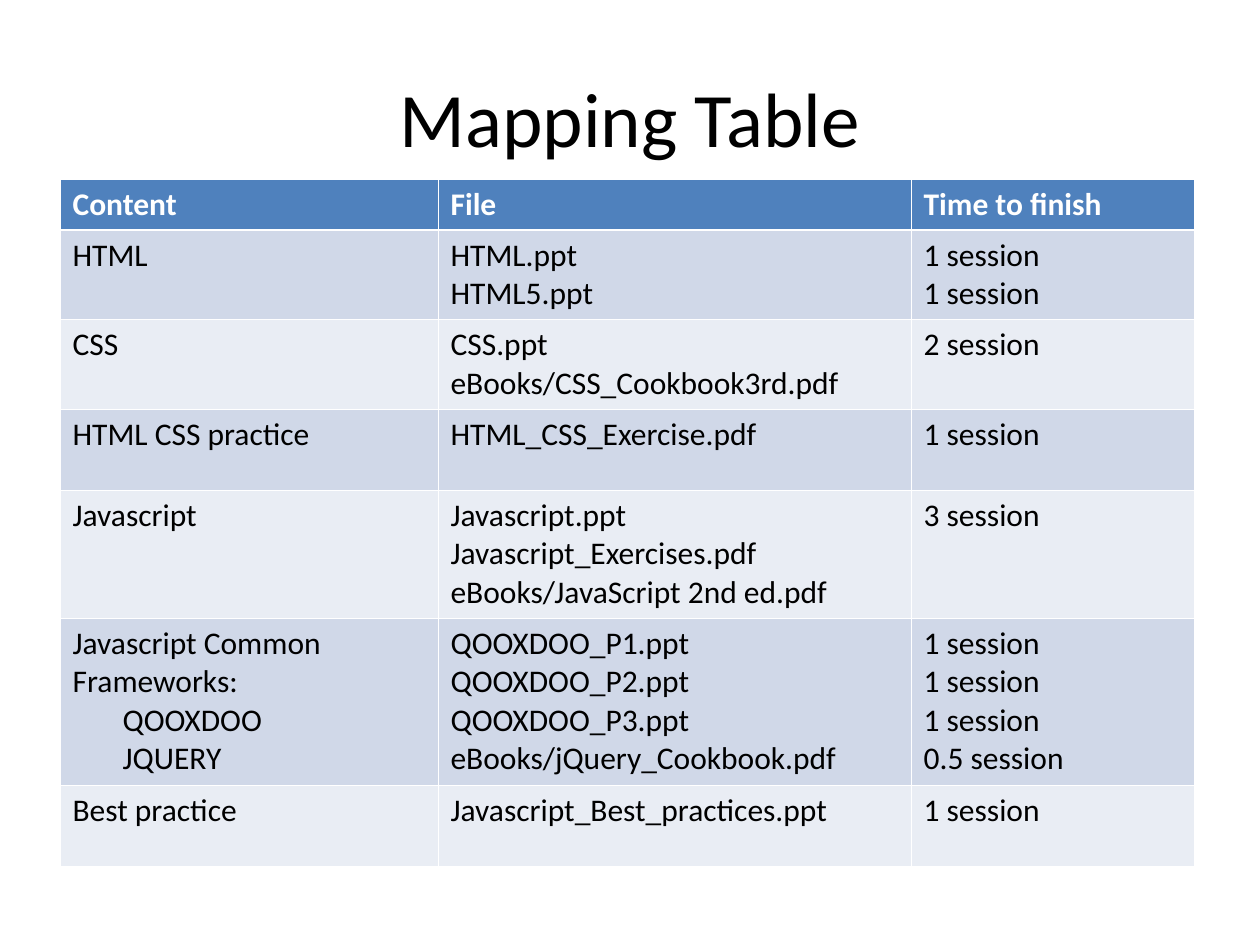
from lxml import etree
from pptx import Presentation
from pptx.dml.color import RGBColor
from pptx.enum.text import MSO_ANCHOR, PP_ALIGN
from pptx.oxml.ns import qn
from pptx.util import Pt

CENTER, MIDDLE = PP_ALIGN.CENTER, MSO_ANCHOR.MIDDLE
PX = 914400 / 126  # EMU in one px
FONT = "Calibri"
BLACK = RGBColor(0x00, 0x00, 0x00)
WHITE = RGBColor(0xFF, 0xFF, 0xFF)
BLUE = RGBColor(0x4F, 0x81, 0xBD)
DARK = RGBColor(0xD0, 0xD8, 0xE8)
LIGHT = RGBColor(0xE9, 0xED, 0xF4)
THIN, THICK = Pt(0.45), Pt(1.47)
INDENT = 50
TITLE_ONLY = 5

COLS = [378, 473, 283]
# Row height, then the lines of each cell; a leading tab marks an indented line
ROWS = [
    (51, ["Content"], ["File"], ["Time to finish"]),
    (89, ["HTML"], ["HTML.ppt", "HTML5.ppt"], ["1 session", "1 session"]),
    (89, ["CSS"], ["CSS.ppt", "eBooks/CSS_Cookbook3rd.pdf"], ["2 session"]),
    (81, ["HTML CSS practice"], ["HTML_CSS_Exercise.pdf"], ["1 session"]),
    (128, ["Javascript"],
     ["Javascript.ppt", "Javascript_Exercises.pdf",
      "eBooks/JavaScript 2nd ed.pdf"],
     ["3 session"]),
    (167, ["Javascript Common Frameworks:", "\tQOOXDOO", "\tJQUERY"],
     ["QOOXDOO_P1.ppt", "QOOXDOO_P2.ppt", "QOOXDOO_P3.ppt",
      "eBooks/jQuery_Cookbook.pdf"],
     ["1 session", "1 session", "1 session", "0.5 session"]),
    (81, ["Best practice"], ["Javascript_Best_practices.ppt"], ["1 session"]),
]


def px(n):
    return round(n * PX)


def add_run(para, text, size, color, bold=False):
    run = para.add_run()
    run.text = text
    font = run.font
    font.name, font.size, font.bold = FONT, Pt(size), bold
    font.color.rgb = color


def add_title(slide, text):
    title = slide.shapes.title
    title.left, title.top = px(63), px(38)
    title.width, title.height = px(1134), px(157)
    frame = title.text_frame
    frame.vertical_anchor = MIDDLE
    para = frame.paragraphs[0]
    para.alignment = CENTER
    add_run(para, text, 44, BLACK)


def set_edges(cell, top, bottom):
    props = cell._tc.get_or_add_tcPr()
    for side, width in zip("LRTB", (THIN, THIN, top, bottom)):
        line = etree.SubElement(props, qn(f"a:ln{side}"), w=str(width))
        fill = etree.SubElement(line, qn("a:solidFill"))
        etree.SubElement(fill, qn("a:srgbClr"), val=str(WHITE))


def fill_cell(cell, lines, row):
    # Edges come first: the fill has to follow them in the XML
    set_edges(cell, THICK if row == 1 else THIN, THICK if row == 0 else THIN)
    head = row == 0
    cell.fill.solid()
    cell.fill.fore_color.rgb = BLUE if head else DARK if row % 2 else LIGHT
    frame = cell.text_frame
    for i, text in enumerate(lines):
        para = frame.add_paragraph() if i else frame.paragraphs[0]
        if text.startswith("\t"):
            para._p.get_or_add_pPr().set("marL", str(px(INDENT)))
        add_run(para, text.strip(), 18, WHITE if head else BLACK, head)


def add_grid(slide):
    high = sum(row[0] for row in ROWS)
    table = slide.shapes.add_table(
        len(ROWS), len(COLS), px(60), px(179), px(sum(COLS)), px(high)).table
    table.horz_banding = False
    for col, wide in zip(table.columns, COLS):
        col.width = px(wide)
    for r, (tall, *cells) in enumerate(ROWS):
        table.rows[r].height = px(tall)
        for c, lines in enumerate(cells):
            fill_cell(table.cell(r, c), lines, r)


def main():
    deck = Presentation()
    deck.slide_width, deck.slide_height = px(1260), px(945)
    slide = deck.slides.add_slide(deck.slide_layouts[TITLE_ONLY])
    add_title(slide, "Mapping Table")
    add_grid(slide)
    deck.save("out.pptx")


if __name__ == "__main__":
    main()
